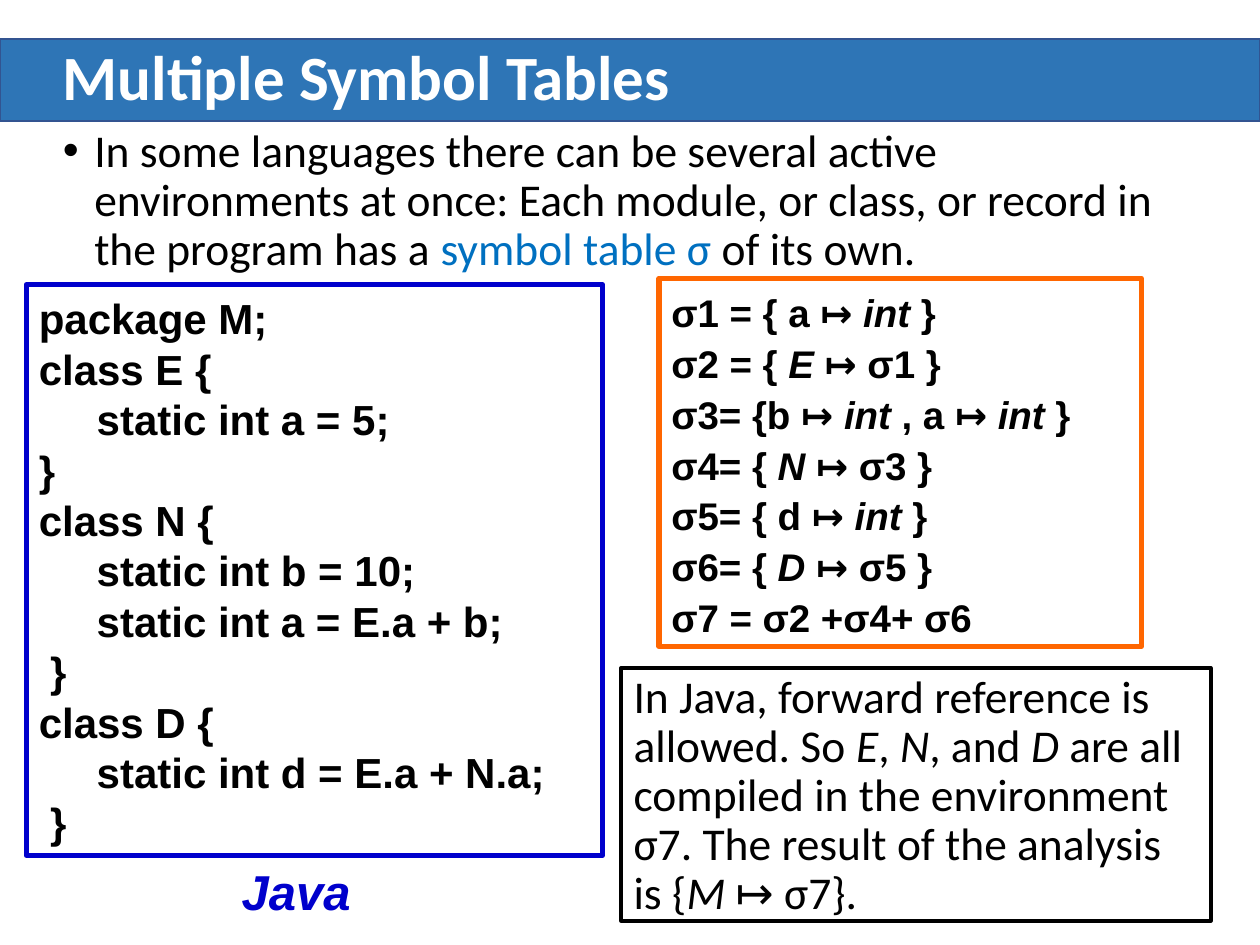
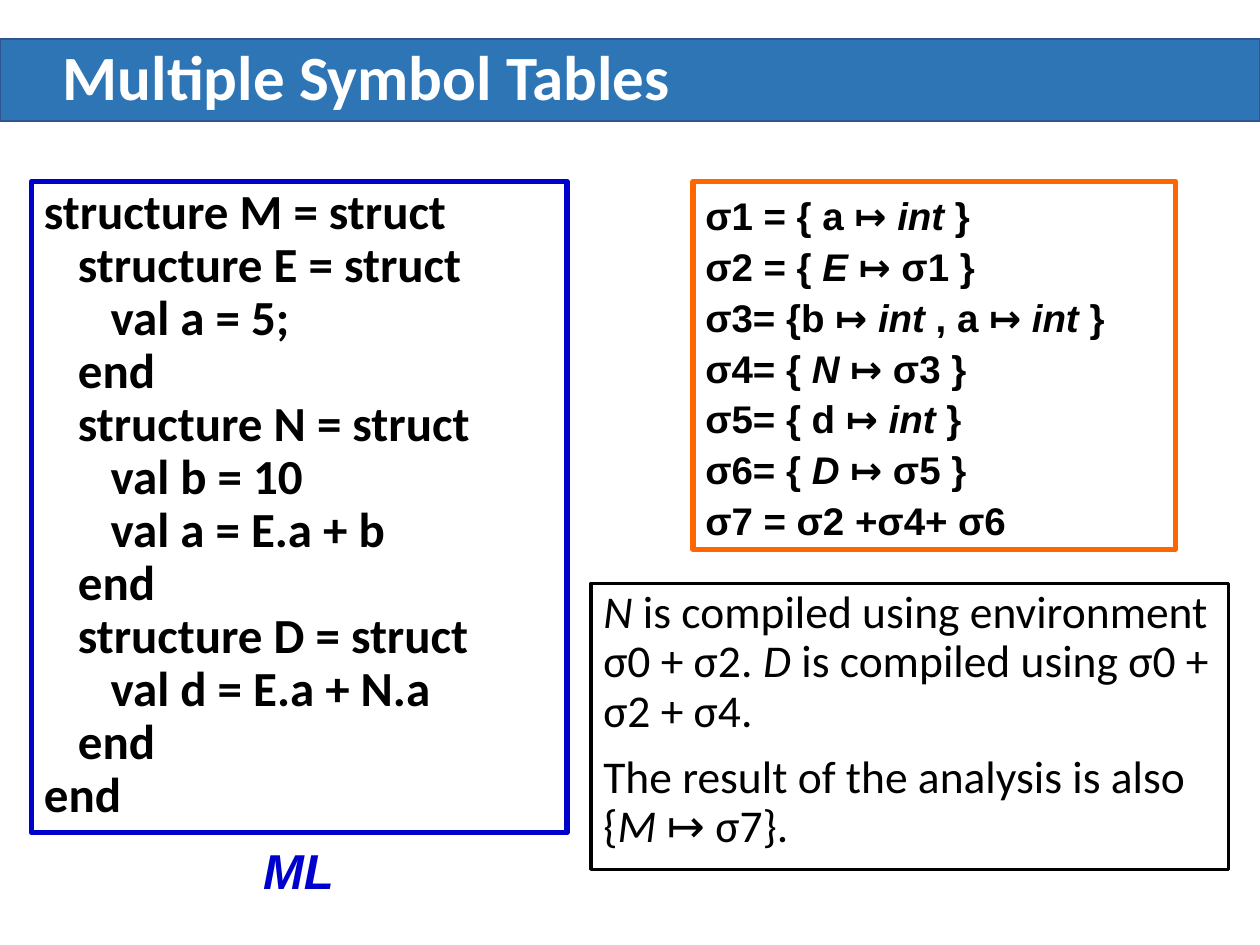
from lxml import etree
from pptx import Presentation
from pptx.dml.color import RGBColor
from pptx.enum.shapes import MSO_SHAPE
from pptx.enum.text import MSO_ANCHOR
from pptx.oxml.ns import qn
from pptx.util import Emu, Pt

RECT = MSO_SHAPE.RECTANGLE
TOP, MIDDLE = MSO_ANCHOR.TOP, MSO_ANCHOR.MIDDLE
EMU_PER_PX = 9144  # 100 px to the inch

COLORS = {
    "band": "2E75B6",
    "band_line": "325491",
    "white": "FFFFFF",
    "black": "000000",
    "accent": "0070C0",
    "code": "0000CC",
    "table": "FF6600",
}

SYMBOL_TABLES = [
    "σ1 = { a ↦* int* }",
    "σ2 = { *E *↦ σ1 }",
    "σ3= {b ↦ *int *, a ↦ *int *}",
    "σ4= { *N *↦ σ3 }",
    "σ5= { d ↦ *int *}",
    "σ6= { *D *↦ σ5 }",
    "σ7 = σ2 +σ4+ σ6",
]

# Code lines are (indent in px, text).
JAVA_CODE = [
    (0, "package M;"),
    (0, "class E {"),
    (46, "static int a = 5;"),
    (0, "}"),
    (0, "class N {"),
    (46, "static int b = 10;"),
    (46, "static int a = E.a + b;"),
    (9, "}"),
    (0, "class D {"),
    (46, "static int d = E.a + N.a;"),
    (9, "}"),
]

ML_CODE = [
    (0, "structure M = struct"),
    (27, "structure E = struct"),
    (53, "val a = 5;"),
    (27, "end"),
    (27, "structure N = struct"),
    (53, "val b = 10"),
    (53, "val a = E.a + b"),
    (27, "end"),
    (27, "structure D = struct"),
    (53, "val d = E.a + N.a"),
    (27, "end"),
    (0, "end"),
]


def px(n):
    return Emu(n * EMU_PER_PX)


def rgb(name):
    return RGBColor.from_string(COLORS[name])


def write(shape, lines, size=26, font="Calibri", color="black", bold=False,
          italic=False, mark=None, spacing=1.0, before=0, bullet=None,
          anchor=TOP, wrap=True):
    """Fill a shape with lines, each a text or (indent, text).

    Parts between asterisks are set in the colour mark, or else in italics.
    """
    tf = shape.text_frame
    tf.word_wrap, tf.vertical_anchor = wrap, anchor
    for i, line in enumerate(lines):
        indent, text = (0, line) if isinstance(line, str) else line
        p = tf.add_paragraph() if i else tf.paragraphs[0]
        p.line_spacing, p.space_before = spacing, Pt(before)
        pPr = p._p.get_or_add_pPr()
        pPr.set("algn", "l")
        pPr.set("marL", str(px(indent)))
        pPr.set("indent", str(px(-indent if bullet else 0)))
        if bullet:
            etree.SubElement(pPr, qn("a:buFont")).set("typeface", "Arial")
            etree.SubElement(pPr, qn("a:buChar")).set("char", bullet)
        for j, part in enumerate(text.split("*")):
            if not part:
                continue
            marked = j % 2 == 1
            r = p.add_run()
            r.text = part
            r.font.name, r.font.size, r.font.bold = font, Pt(size), bold
            r.font.italic = italic or (marked and mark is None)
            r.font.color.rgb = rgb(mark if marked and mark else color)


class Deck:
    """Holds the shared style and the slide being built."""

    def __init__(self):
        self.prs = Presentation()
        self.prs.slide_width, self.prs.slide_height = px(1000), px(750)
        self.s = None

    def slide(self, title):
        self.s = self.prs.slides.add_slide(self.prs.slide_layouts[6])
        self.box((0, 31, 1000, 65), "band_line", 1, fill="band")
        self.text((40, 31, 924, 65), [title], size=36, color="white",
                  bold=True, spacing=0.9, anchor=MIDDLE)

    def box(self, at, line, width, fill=None):
        sp = self.s.shapes.add_shape(RECT, *map(px, at))
        sp.shadow.inherit = False
        sp.line.color.rgb, sp.line.width = rgb(line), Pt(width)
        if fill:
            sp.fill.solid()
            sp.fill.fore_color.rgb = rgb(fill)
        else:
            sp.fill.background()
        return sp

    def text(self, at, lines, **fmt):
        write(self.s.shapes.add_textbox(*map(px, at)), lines, **fmt)

    def code(self, at, lines, **fmt):
        write(self.box(at, "code", 3), lines, bold=True, **fmt)

    def language(self, at, name):
        self.text(at, [name], size=28, font="Arial", color="code", bold=True,
                  italic=True, wrap=False)

    def symbol_tables(self, left, top):
        write(self.box((left, top, 383, 292), "table", 3), SYMBOL_TABLES,
              size=22, font="Arial", bold=True, spacing=1.1)

    def remark(self, at, lines):
        write(self.box(at, "black", 2), lines, spacing=0.9, before=10)


def java_slide(deck):
    deck.slide("Multiple Symbol Tables")
    deck.text((40, 97, 924, 130), [
        (25, "In some languages there can be several active environments at "
             "once: Each module, or class, or record in the program has a "
             "*symbol table σ *of its own."),
    ], mark="accent", spacing=0.9, before=10, bullet="•")
    deck.code((21, 226, 457, 453), JAVA_CODE, size=24, font="Arial",
              anchor=MIDDLE)
    deck.symbol_tables(523, 221)
    deck.language((182, 679, 107, 57), "Java")
    deck.remark((493, 530, 468, 201), [
        "In Java, forward reference is allowed. So *E*, *N*, and *D* are all "
        "compiled in the environment σ7. The result of the analysis is "
        "{*M* ↦ σ7}.",
    ])


def ml_slide(deck):
    deck.slide("Multiple Symbol Tables")
    deck.code((25, 144, 425, 517), ML_CODE, size=28, spacing=0.9)
    deck.language((199, 662, 76, 57), "ML")
    deck.remark((469, 463, 506, 227), [
        "*N* is compiled using environment σ0 + σ2. *D* is compiled using "
        "σ0 + σ2 + σ4.",
        "The result of the analysis is also {*M* ↦ σ7}.",
    ])
    deck.symbol_tables(550, 144)


def main():
    deck = Deck()
    java_slide(deck)
    ml_slide(deck)
    deck.prs.save("out.pptx")


if __name__ == "__main__":
    main()
